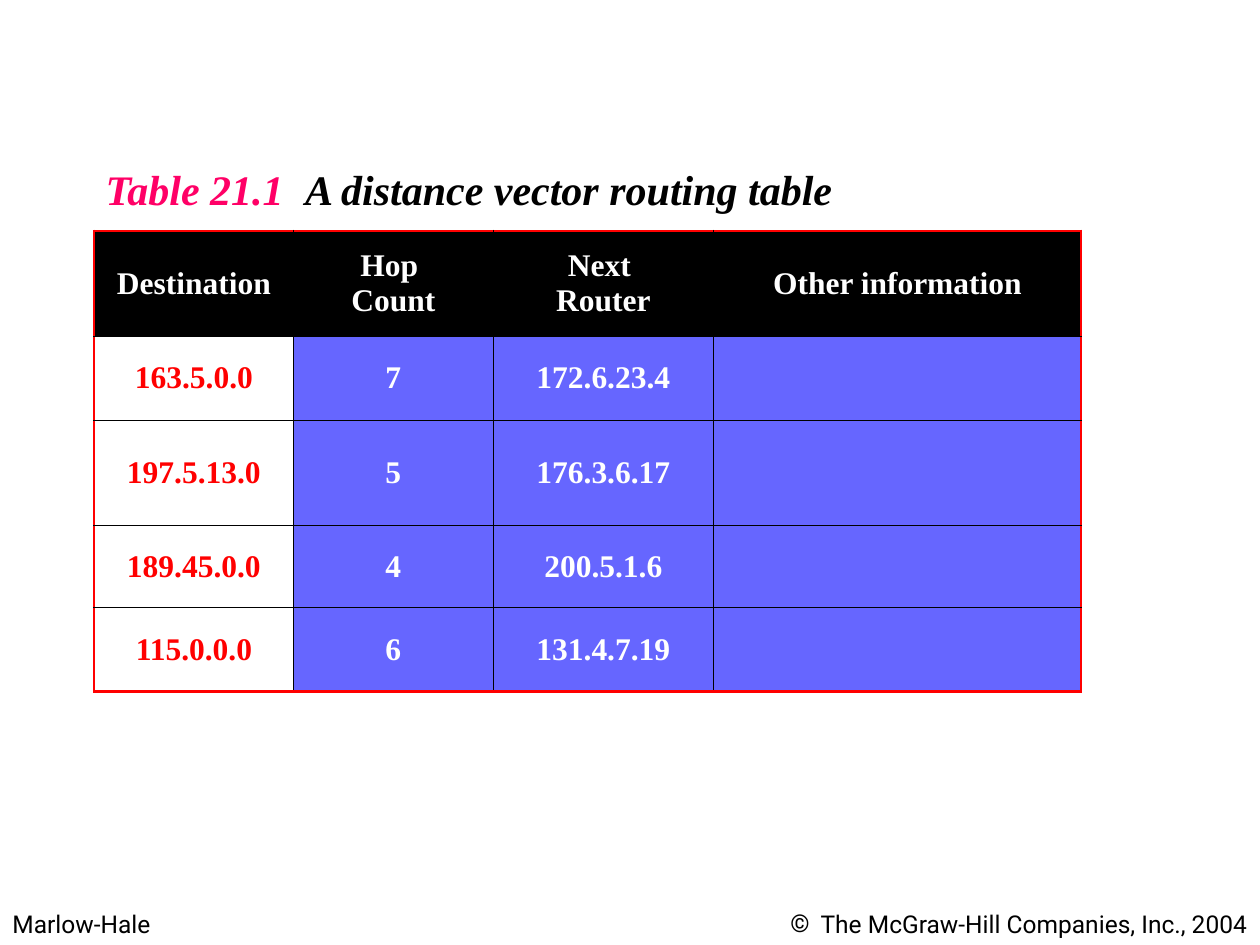
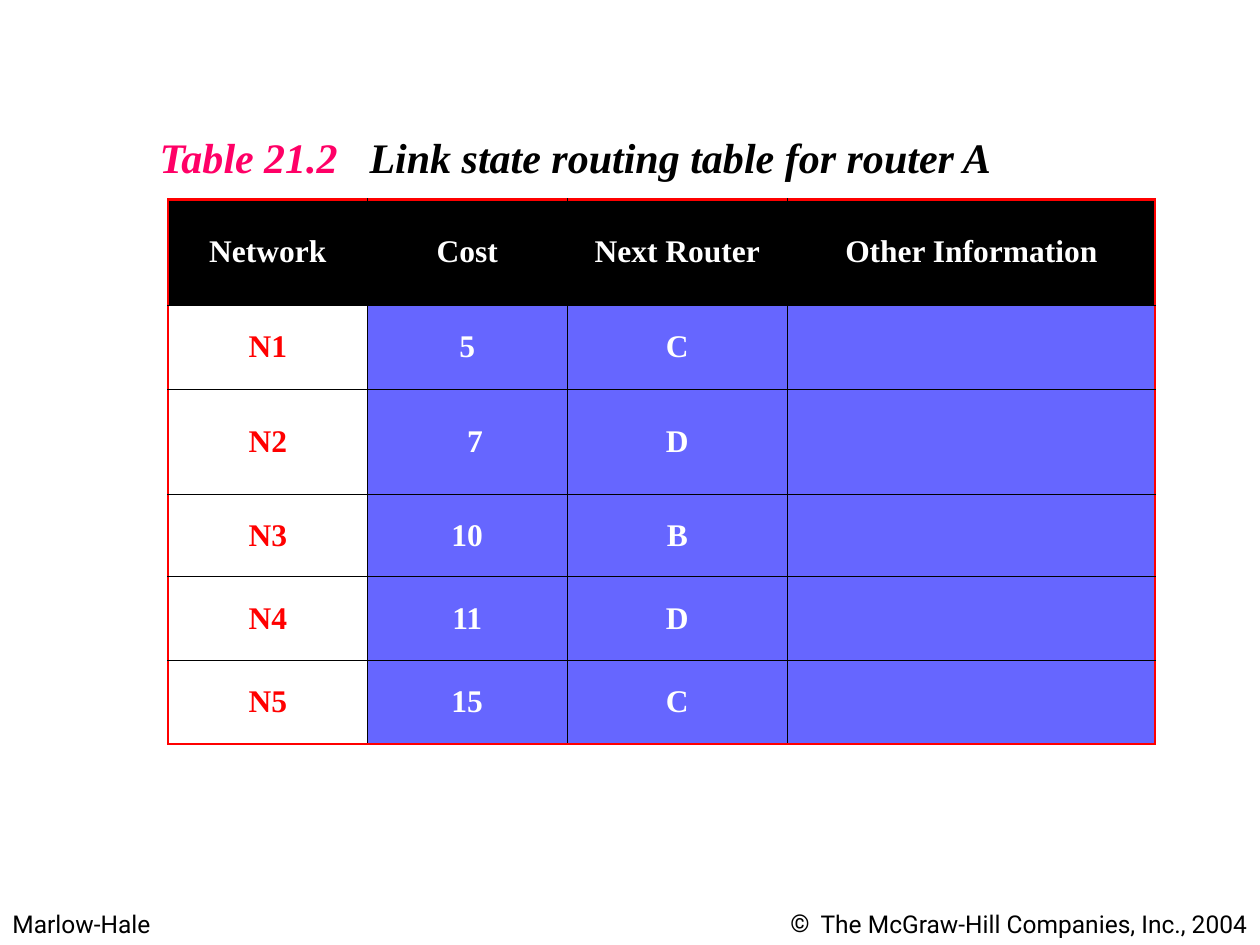
from pptx import Presentation
from pptx.dml.color import RGBColor as Rgb
from pptx.enum.text import MSO_ANCHOR as Anchor, PP_ALIGN as Align
from pptx.oxml.ns import qn
from pptx.util import Cm, Pt
from lxml.etree import SubElement as Sub

BLACK, WHITE, RED, PINK, BLUE = "000000", "FFFFFF", "FF0000", "FF0066", "6666FF"
SERIF, SANS = "Times New Roman", "Roboto"
WIDE, HIGH = 25.4, 19.05
COLS = [4.02, 4.02, 4.45, 7.41]
TALL, MID, LOW = 2.13, 1.69, 1.65
ROWS = [TALL, MID, TALL, LOW, MID, MID]

HOPS = [
    ["Destination", "Hop \nCount", "Next \nRouter", "Other information"],
    ["163.5.0.0", "7", "172.6.23.4", ""],
    ["197.5.13.0", "5", "176.3.6.17", ""],
    ["189.45.0.0", "4", "200.5.1.6", ""],
    ["115.0.0.0", "6", "131.4.7.19", ""],
]
LINKS = [
    ["Network", "Cost", "Next Router", "Other Information"],
    ["N1", "5", "C", ""],
    ["N2", "7", "D", ""],
    ["N3", "10", "B", ""],
    ["N4", "11", "D", ""],
    ["N5", "15", "C", ""],
]


def hue(code):
    return Rgb.from_string(code)


def write(para, text, size=18, font=SERIF, color=BLACK, bold=False,
          slant=False, align=Align.LEFT):
    para.alignment = align
    for i, line in enumerate(text.split("\n")):
        if i:
            para.add_line_break()
        run = para.add_run()
        run.text = line
        face = run.font
        face.size, face.name = Pt(size), font
        face.bold, face.italic = bold, slant
        face.color.rgb = hue(color)


def box(slide, left, top, width, height):
    frame = slide.shapes.add_textbox(
        Cm(left), Cm(top), Cm(width), Cm(height)).text_frame
    frame.word_wrap = True
    return frame.paragraphs[0]


def mark(para, sign, gap):
    props = para._p.get_or_add_pPr()
    props.set("marL", str(Cm(gap)))
    props.set("indent", str(-Cm(gap)))
    tint = Sub(props, qn("a:buClr"))
    Sub(tint, qn("a:srgbClr"), val=BLACK)
    Sub(props, qn("a:buFont"), typeface=SANS)
    Sub(props, qn("a:buChar"), char=sign)


def stop(para, place):
    tabs = Sub(para._p.get_or_add_pPr(), qn("a:tabLst"))
    Sub(tabs, qn("a:tab"), pos=str(Cm(place)), algn="l")


def footer(slide):
    top, height = 18.21, 0.86
    write(box(slide, 0, top, 6.15, height), "Marlow-Hale", size=14, font=SANS)
    note = box(slide, WIDE / 2, top, WIDE / 2, height)
    mark(note, "©", 0.61)
    write(note, "The McGraw-Hill Companies, Inc., 2004", size=14, font=SANS,
          align=Align.RIGHT)


def title(slide, left, top, width, label, text, place):
    para = box(slide, left, top, width, 1.27)
    stop(para, place)
    write(para, label + "\t", size=24, color=PINK, bold=True, slant=True)
    write(para, text, size=24, bold=True, slant=True)


def edge(cell, outer):
    props = cell._tc.get_or_add_tcPr()
    for side, out in outer.items():
        line = Sub(props, qn("a:ln" + side), w=str(Pt(1.47 if out else 0.45)))
        fill = Sub(line, qn("a:solidFill"))
        Sub(fill, qn("a:srgbClr"), val=RED if out else BLACK)


def style(row, col):
    if row == 0:
        return BLACK, WHITE
    return (WHITE, RED) if col == 0 else (BLUE, WHITE)


def table(slide, left, top, data):
    rows = ROWS[:len(data)]
    grid = slide.shapes.add_table(
        len(rows), len(COLS), Cm(left), Cm(top),
        Cm(sum(COLS)), Cm(sum(rows))).table
    grid.first_row = grid.horz_banding = False
    for col, width in zip(grid.columns, COLS):
        col.width = Cm(width)
    for r, line in enumerate(data):
        grid.rows[r].height = Cm(rows[r])
        for c, text in enumerate(line):
            cell = grid.cell(r, c)
            edge(cell, {"L": c == 0, "R": c == len(COLS) - 1,
                        "T": r == 0, "B": r == len(rows) - 1})
            back, ink = style(r, c)
            cell.fill.solid()
            cell.fill.fore_color.rgb = hue(back)
            cell.vertical_anchor = Anchor.MIDDLE
            if text:
                write(cell.text_frame.paragraphs[0], text, color=ink,
                      bold=True, align=Align.CENTER)
    return grid


def main():
    deck = Presentation()
    deck.slide_width, deck.slide_height = Cm(WIDE), Cm(HIGH)
    blank = deck.slide_layouts[6]

    slide = deck.slides.add_slide(blank)
    footer(slide)
    title(slide, 1.88, 3.18, 15.27, "Table 21.1",
          "A distance vector routing table", 4.02)
    table(slide, 1.9, 4.65, HOPS)

    slide = deck.slides.add_slide(blank)
    footer(slide)
    title(slide, 2.97, 2.52, 17.37, "Table 21.2",
          "Link state routing table for router A", 4.23)
    grid = table(slide, 3.39, 4.02, LINKS)
    grid.cell(2, 1).margin_left = Cm(0.57)

    deck.save("out.pptx")


if __name__ == "__main__":
    main()
